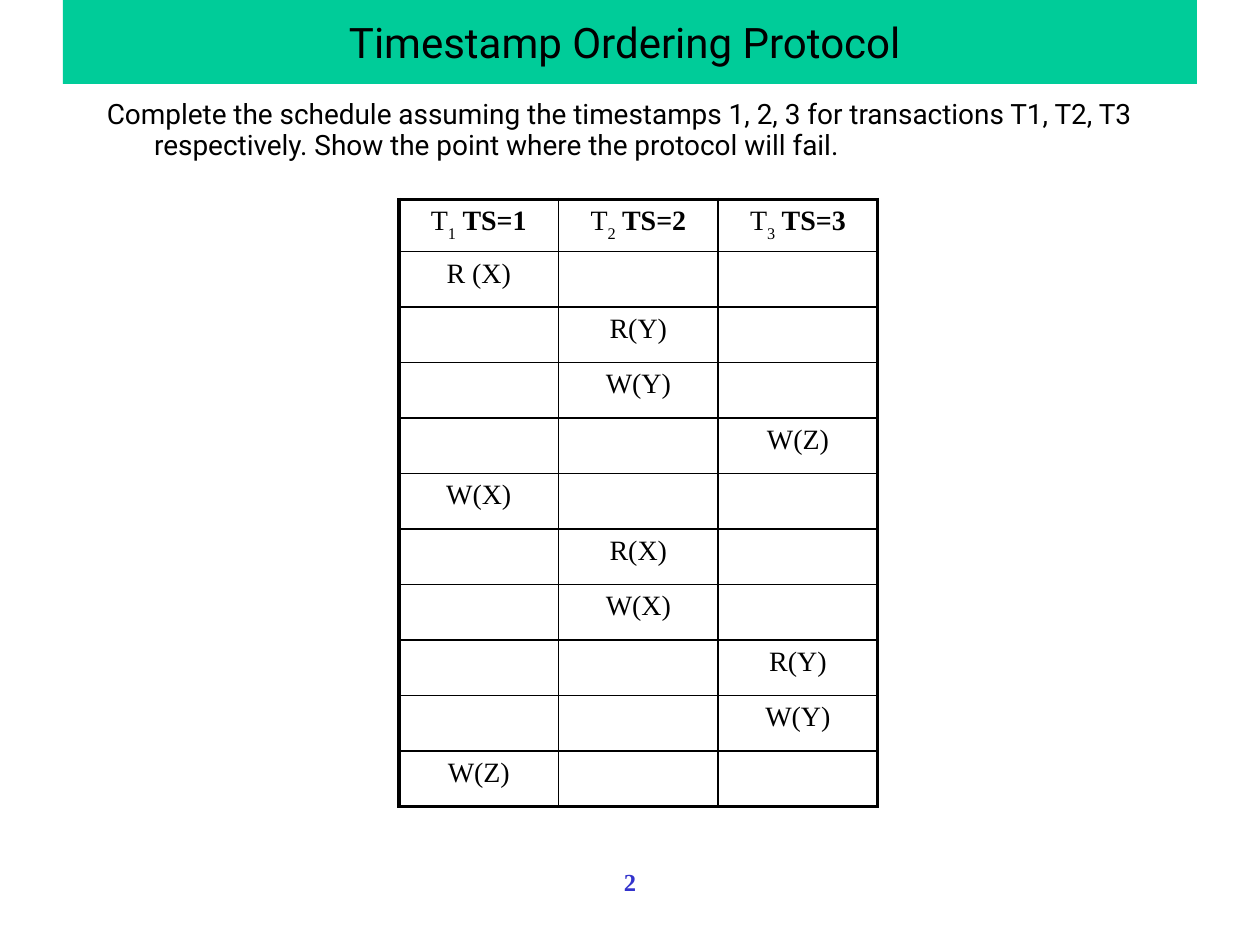
from lxml import etree
from pptx import Presentation
from pptx.dml.color import RGBColor
from pptx.enum.shapes import MSO_SHAPE
from pptx.enum.text import MSO_ANCHOR, PP_ALIGN
from pptx.oxml.ns import qn
from pptx.util import Pt

RECT = MSO_SHAPE.RECTANGLE
TOP, MIDDLE = MSO_ANCHOR.TOP, MSO_ANCHOR.MIDDLE
LEFT, CENTER = PP_ALIGN.LEFT, PP_ALIGN.CENTER

BLACK = RGBColor(0x00, 0x00, 0x00)
GREEN = RGBColor(0x00, 0xCC, 0x99)
BLUE = RGBColor(0x33, 0x33, 0xCC)

TITLE = {"name": "Roboto", "size": Pt(24), "bold": False}
BODY = {"name": "Roboto", "size": Pt(16), "bold": False}
CELL = {"name": "Times New Roman", "size": Pt(16), "bold": False}
NUMBER = {"name": "Times New Roman", "size": Pt(14), "bold": True}

OUTER, INNER = 2, 1  # table line widths


class SlideBuilder:
    def __init__(self, slide):
        self.s = slide

    def run(self, p, text, fmt, color=BLACK, bold=None, baseline=None):
        r = p.add_run()
        r.text = text
        for key, value in fmt.items():
            setattr(r.font, key, value)
        r.font.color.rgb = color
        if bold is not None:
            r.font.bold = bold
        if baseline:
            r.font._element.set("baseline", str(baseline))

    def paragraph(self, tf, text, fmt, color=BLACK, align=CENTER, anchor=TOP):
        tf.word_wrap = True
        tf.vertical_anchor = anchor
        p = tf.paragraphs[0]
        p.alignment = align
        self.run(p, text, fmt, color)
        return p

    def bar(self, box, fill, text, fmt):
        sp = self.s.shapes.add_shape(RECT, *map(Pt, box))
        sp.shadow.inherit = False
        sp.fill.solid()
        sp.fill.fore_color.rgb = fill
        sp.line.fill.background()
        self.paragraph(sp.text_frame, text, fmt, anchor=MIDDLE)

    def text(self, box, text, fmt, color=BLACK, align=CENTER, hanging=0, spacing=1.0):
        sp = self.s.shapes.add_textbox(*map(Pt, box))
        p = self.paragraph(sp.text_frame, text, fmt, color, align)
        p.line_spacing = spacing
        if hanging:
            pPr = p._p.get_or_add_pPr()
            pPr.set("marL", str(Pt(hanging)))
            pPr.set("indent", str(Pt(-hanging)))

    def border(self, cell, widths):
        tcPr = cell._tc.get_or_add_tcPr()
        for side, width in widths.items():
            ln = etree.SubElement(tcPr, qn(f"a:ln{side}"), w=str(Pt(width)))
            fill = etree.SubElement(ln, qn("a:solidFill"))
            etree.SubElement(fill, qn("a:srgbClr"), val=str(BLACK))

    def schedule(self, left, top, col_width, header_height, row_height, steps, columns):
        rows = len(steps) + 1
        height = header_height + row_height * len(steps)
        frame = self.s.shapes.add_table(
            rows, columns, Pt(left), Pt(top), Pt(col_width * columns), Pt(height))
        table = frame.table
        table.first_row = table.horz_banding = False
        for col in table.columns:
            col.width = Pt(col_width)
        for i, row in enumerate(table.rows):
            row.height = Pt(row_height if i else header_height)
            for j, cell in enumerate(row.cells):
                self.border(cell, {
                    "L": OUTER if j == 0 else INNER,
                    "R": OUTER if j == columns - 1 else INNER,
                    "T": OUTER if i == 0 else INNER,
                    "B": OUTER if i == rows - 1 else INNER,
                })
                cell.fill.background()
        # Header: transaction name with subscript, then its timestamp
        for j in range(columns):
            p = self.paragraph(table.cell(0, j).text_frame, "T", CELL)
            self.run(p, str(j + 1), CELL, baseline=-30000)
            self.run(p, f" TS={j + 1}", CELL, bold=True)
        # One operation per row, in its transaction's column
        for i, (transaction, operation) in enumerate(steps, 1):
            self.paragraph(table.cell(i, transaction - 1).text_frame, operation, CELL)


STEPS = [
    (1, "R (X)"), (2, "R(Y)"), (2, "W(Y)"), (3, "W(Z)"), (1, "W(X)"),
    (2, "R(X)"), (2, "W(X)"), (3, "R(Y)"), (3, "W(Y)"), (1, "W(Z)"),
]


def main():
    prs = Presentation()
    prs.slide_width, prs.slide_height = Pt(720), Pt(540)
    b = SlideBuilder(prs.slides.add_slide(prs.slide_layouts[6]))

    # Page number
    b.text((36, 492, 648, 36), "2", NUMBER, BLUE)

    # Title bar
    b.bar((36, 0, 648, 48), GREEN, "Timestamp Ordering Protocol ", TITLE)

    # Task
    b.text((54, 54, 618, 45),
           "Complete the schedule assuming the timestamps 1, 2, 3 for transactions "
           "T1, T2, T3 respectively. Show the point where the protocol will fail.",
           BODY, align=LEFT, hanging=27, spacing=0.9)

    # Schedule table
    b.schedule(228, 114, 91.2, 22.5, 31.7, STEPS, columns=3)

    prs.save("out.pptx")


if __name__ == "__main__":
    main()
